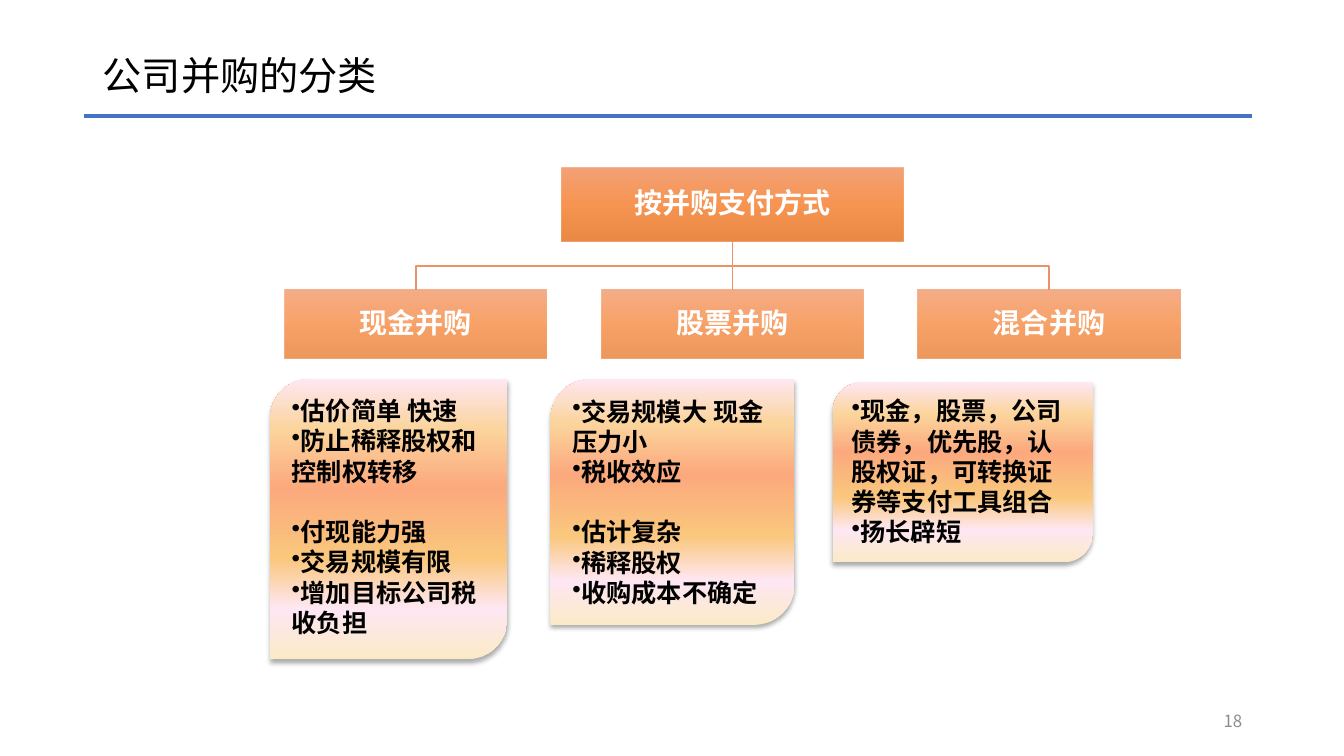
from lxml.etree import SubElement
from pptx import Presentation
from pptx.dml.color import RGBColor
from pptx.enum.shapes import MSO_CONNECTOR, MSO_SHAPE
from pptx.enum.text import MSO_ANCHOR, PP_ALIGN
from pptx.oxml.ns import qn
from pptx.util import Inches, Pt

FONT = "Noto Sans CJK SC"
LEAF_LINE = Pt(21.6)
ORANGE = [(0, "F18C57"), (50, "F67B28"), (100, "E56C19")]
SUNSET = [(0, "FBEAC7"), (18, "FEE7F2"), (36, "FAC77D"),
          (61, "FBA97D"), (82, "FBD49C"), (100, "FEE7F2")]


def color(hex_text):
    return RGBColor.from_string(hex_text)


def cells(*counts):
    """Lengths on a grid of tenth-inch columns and rows."""
    return [Inches(count / 10) for count in counts]


def apply(target, formats):
    for name, value in formats.items():
        setattr(target, name, value)


class Chart:
    """Style and current slide of the classification chart."""

    def __init__(self, slide, line_color):
        self.slide, self.shapes = slide, slide.shapes
        self.line_color = line_color

    def add_words(self, paragraph, text, size, hex_text, bold=False, **formats):
        apply(paragraph, formats)
        run = paragraph.add_run()
        run.text = text
        apply(run.font, {"size": Pt(size), "bold": bold, "name": FONT})
        run.font.color.rgb = color(hex_text)
        SubElement(run.font._element, qn("a:ea"), typeface=FONT)

    def title(self, text, box):
        heading = self.shapes.title
        apply(heading, dict(zip(("left", "top", "width", "height"), cells(*box))))
        heading.text_frame.vertical_anchor = MSO_ANCHOR.MIDDLE
        self.add_words(heading.text_frame.paragraphs[0], text, 28, "000000",
                       alignment=PP_ALIGN.LEFT, line_spacing=0.9)

    def page_number(self, text, box):
        frame = self.shapes.add_textbox(*cells(*box)).text_frame
        apply(frame, {"word_wrap": True, "vertical_anchor": MSO_ANCHOR.MIDDLE})
        self.add_words(frame.paragraphs[0], text, 12, "8C8C8C", alignment=PP_ALIGN.RIGHT)

    def line(self, start, end, hex_text, width):
        rule = self.shapes.add_connector(MSO_CONNECTOR.STRAIGHT, *cells(*start, *end))
        rule.line.color.rgb = color(hex_text)
        rule.line.width = Pt(width)
        SubElement(rule._element.spPr, qn("a:effectLst"))

    def branch(self, start, end):
        """Joins a parent's bottom to a child's top, bending halfway."""
        (x1, y1), (x2, y2) = start, end
        if x1 == x2:
            self.line(start, end, self.line_color, 1)
            return
        middle = (y1 + y2) / 2
        builder = self.shapes.build_freeform(*cells(x1, y1), scale=1.0)
        bends = [(x1, middle), (x2, middle), end]
        builder.add_line_segments([cells(*bend) for bend in bends], close=False)
        elbow = builder.convert_to_shape()
        elbow.fill.background()
        elbow.line.color.rgb = color(self.line_color)
        elbow.line.width = Pt(1)
        elbow.shadow.inherit = False

    def panel(self, preset, box, stops, angle, opacity=100):
        panel = self.shapes.add_shape(preset, *cells(*box))
        panel.shadow.inherit = False
        panel.line.fill.background()
        panel.fill.gradient()
        panel.fill.gradient_angle = angle
        stop_list = panel._element.spPr.find(".//" + qn("a:gsLst"))
        for old in list(stop_list):
            stop_list.remove(old)
        for position, hex_text in stops:
            stop = SubElement(stop_list, qn("a:gs"), pos=str(position * 1000))
            shade = SubElement(stop, qn("a:srgbClr"), val=hex_text)
            if opacity < 100:
                SubElement(shade, qn("a:alpha"), val=str(opacity * 1000))
        panel.text_frame.word_wrap = True
        return panel

    def node(self, text, box, opacity):
        frame = self.panel(MSO_SHAPE.RECTANGLE, box, ORANGE, 270, opacity).text_frame
        frame.vertical_anchor = MSO_ANCHOR.MIDDLE
        apply(frame, dict.fromkeys(
            ("margin_left", "margin_top", "margin_right", "margin_bottom"), Inches(0.01)))
        self.add_words(frame.paragraphs[0], text, 20, "FFFFFF", bold=True,
                       alignment=PP_ALIGN.CENTER, line_spacing=0.9)

    def leaf(self, groups, box):
        """Bulleted card; groups of points are one line apart."""
        card = self.panel(MSO_SHAPE.ROUND_2_DIAG_RECTANGLE, box, SUNSET, 90)
        effects = card._element.spPr.find(qn("a:effectLst"))
        shadow = SubElement(effects, qn("a:outerShdw"), blurRad=str(Pt(3.5)),
                            dist=str(Pt(2.2)), dir="5400000", algn="ctr", rotWithShape="0")
        SubElement(SubElement(shadow, qn("a:srgbClr"), val="000000"),
                   qn("a:alpha"), val="32000")
        frame = card.text_frame
        frame.vertical_anchor = MSO_ANCHOR.TOP
        paragraph = frame.paragraphs[0]
        for group_index, points in enumerate(groups):
            for point_index, point in enumerate(points):
                if group_index or point_index:
                    paragraph = frame.add_paragraph()
                properties = paragraph._p.get_or_add_pPr()
                properties.set("marL", "0")
                properties.set("indent", "0")
                SubElement(properties, qn("a:buChar"), char="•")
                gap = LEAF_LINE if group_index and not point_index else 0
                self.add_words(paragraph, point, 18, "000000", bold=True,
                               alignment=PP_ALIGN.LEFT, line_spacing=LEAF_LINE,
                               space_before=gap)


def main():
    deck = Presentation()
    deck.slide_width, deck.slide_height = Inches(13.33), Inches(7.5)
    chart = Chart(deck.slides.add_slide(deck.slide_layouts[5]), "EF9166")

    # Heading and page number
    chart.title("公司并购的分类", (9.2, 4, 115, 7.4))
    chart.line((8.3, 11.5), (124.2, 11.5), "4472C4", 3)
    chart.page_number("18", (94.2, 69.5, 30, 4))

    # Tree: payment method and its three kinds
    center, step = 72.65, 31.4
    root_width, root_top, root_height = 33.9, 16.6, 7.4
    kind_width, kind_top, kind_height = 26, 28.75, 6.8
    kinds = ["现金并购", "股票并购", "混合并购"]
    kind_centers = [center + step * (index - 1) for index in range(len(kinds))]
    for kind_center in kind_centers:
        chart.branch((center, root_top + root_height), (kind_center, kind_top))
    chart.node("按并购支付方式",
               (center - root_width / 2, root_top, root_width, root_height), 80)
    for kind, kind_center in zip(kinds, kind_centers):
        chart.node(kind, (kind_center - kind_width / 2, kind_top, kind_width, kind_height), 70)

    # Features of each kind
    features = [
        ([["估价简单 快速", "防止稀释股权和控制权转移"],
          ["付现能力强", "交易规模有限", "增加目标公司税收负担"]], (26.8, 37.6, 23.5, 27.8)),
        ([["交易规模大 现金压力小", "税收效应"],
          ["估计复杂", "稀释股权", "收购成本不确定"]], (54.6, 37.6, 24.2, 24.4)),
        ([["现金，股票，公司债券，优先股，认股权证，可转换证券等支付工具组合",
           "扬长辟短"]], (82.6, 37.9, 25.8, 17.9)),
    ]
    for groups, box in features:
        chart.leaf(groups, box)

    deck.save("out.pptx")


if __name__ == "__main__":
    main()
